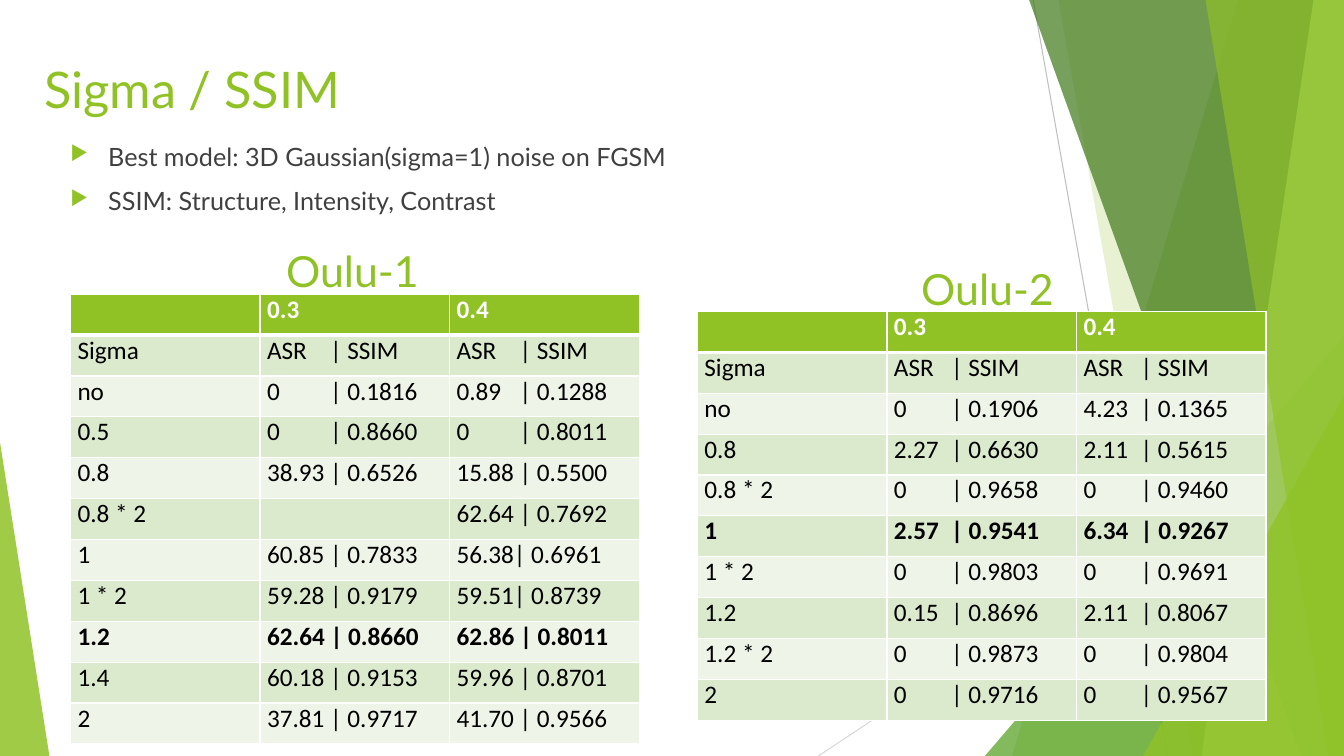
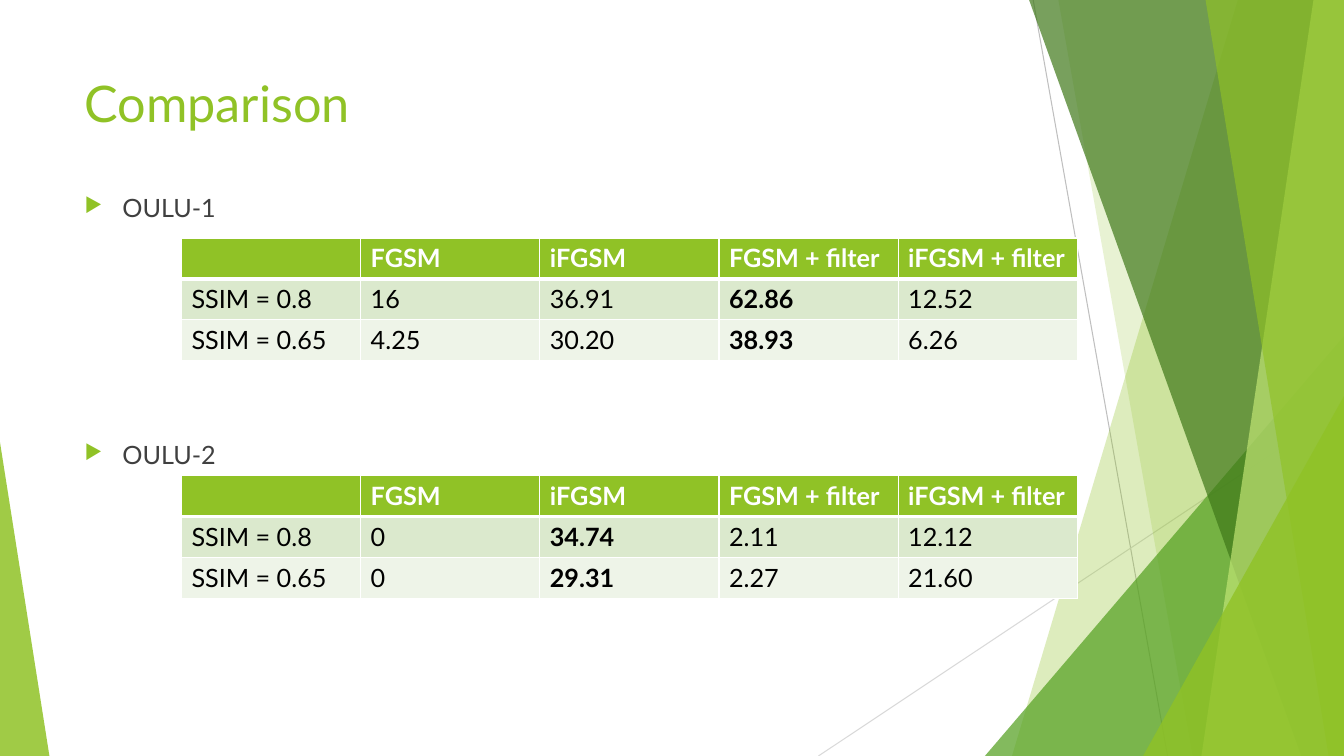
"""Build two slides on noise strength, similarity and attack success."""
from dataclasses import dataclass

from pptx import Presentation
from pptx.dml.color import RGBColor
from pptx.enum.shapes import MSO_CONNECTOR, MSO_SHAPE
from pptx.enum.text import MSO_ANCHOR
from pptx.oxml.ns import qn
from pptx.oxml.xmlchemy import OxmlElement
from pptx.util import Pt

TRIANGLE = MSO_SHAPE.ISOSCELES_TRIANGLE
STRAIGHT = MSO_CONNECTOR.STRAIGHT
TOP = MSO_ANCHOR.TOP

WIDTH, HEIGHT = 960, 540
GREEN, WHITE, BLACK, GREY = "90C226", "FFFFFF", "000000", "404040"
BAND_FILLS = ("EEF4E8", "DBE9CD")
HEADING_FONT, TABLE_FONT = "Lato", "Calibri"
BODY_SIZE, TITLE_SIZE, CAPTION_SIZE = 18, 36, 30.6
ROW_HEIGHT = 29.2
BULLET_INDENT = 27


@dataclass(frozen=True)
class Ray:
    """A thin background line."""
    start: tuple[float, float]
    end: tuple[float, float]
    color: str


@dataclass(frozen=True)
class Band:
    """A full-height facet that reaches the right edge."""
    top_left: float
    bottom_left: float
    color: str
    opacity: int


@dataclass(frozen=True)
class Wedge:
    """A right triangle standing on the bottom edge."""
    left: float
    top: float
    width: float
    apex: float
    color: str
    opacity: int


@dataclass(frozen=True)
class Grid:
    """A banded table with its place, style and bold cells."""
    left: float
    top: float
    column_width: float
    rows: tuple[tuple[str, ...], ...]
    bold: frozenset[tuple[int, int]]
    font: str = TABLE_FONT
    margins: tuple[float, float] = (5, 0)
    tab: float = 0


@dataclass(frozen=True)
class Label:
    """A text box, bulleted or plain."""
    left: float
    top: float
    width: float
    height: float
    lines: tuple[str, ...]
    size: float = BODY_SIZE
    color: str = GREEN
    bulleted: bool = False


RAYS = (
    Ray((738, 0), (834, HEIGHT), "BFBFBF"),
    Ray((WIDTH, 290), (584.6, HEIGHT), "D9D9D9"),
)
FACETS = (
    Band(884.2, 722.9, GREEN, 30),
    Band(756, 851.8, GREEN, 20),
    Wedge(703.5, 240, 256.5, 1, "54A021", 72),
    Band(735.1, 929.5, "3F7819", 70),
    Band(938.2, 858.2, "C0E474", 70),
    Band(861.1, 949, GREEN, 65),
    Wedge(816.5, 283, 143.5, 1, GREEN, 80),
    Wedge(0, 316, 35.3, 0, GREEN, 85),
)

OULU_ONE = (
    ("", "0.3", "0.4"),
    ("Sigma", "ASR\t| SSIM", "ASR\t| SSIM"),
    ("no", "0\t| 0.1816", "0.89\t| 0.1288"),
    ("0.5", "0\t| 0.8660", "0\t| 0.8011"),
    ("0.8", "38.93 | 0.6526", "15.88 | 0.5500"),
    ("0.8 * 2", "", "62.64 | 0.7692"),
    ("1", "60.85 | 0.7833", "56.38| 0.6961"),
    ("1 * 2", "59.28 | 0.9179", "59.51| 0.8739"),
    ("1.2", "62.64 | 0.8660", "62.86 | 0.8011"),
    ("1.4", "60.18 | 0.9153", "59.96 | 0.8701"),
    ("2", "37.81 | 0.9717", "41.70 | 0.9566"),
)
OULU_TWO = (
    ("", "0.3", "0.4"),
    ("Sigma", "ASR\t| SSIM", "ASR\t| SSIM"),
    ("no", "0\t| 0.1906", "4.23\t| 0.1365"),
    ("0.8", "2.27\t| 0.6630", "2.11\t| 0.5615"),
    ("0.8 * 2", "0\t| 0.9658", "0\t| 0.9460"),
    ("1", "2.57\t| 0.9541", "6.34\t| 0.9267"),
    ("1 * 2", "0\t| 0.9803", "0\t| 0.9691"),
    ("1.2", "0.15\t| 0.8696", "2.11\t| 0.8067"),
    ("1.2 * 2", "0\t| 0.9873", "0\t| 0.9804"),
    ("2", "0\t| 0.9716", "0\t| 0.9567"),
)
METHODS = ("", "FGSM", "iFGSM", "FGSM + filter", "iFGSM + filter")
COMPARISON_ONE = (
    METHODS,
    ("SSIM = 0.8", "16", "36.91", "62.86", "12.52"),
    ("SSIM = 0.65", "4.25", "30.20", "38.93", "6.26"),
)
COMPARISON_TWO = (
    METHODS,
    ("SSIM = 0.8", "0", "34.74", "2.11", "12.12"),
    ("SSIM = 0.65", "0", "29.31", "2.27", "21.60"),
)


def rgb(color: str) -> RGBColor:
    """Turn a hex string into a colour."""
    return RGBColor.from_string(color)


def add_element(parent, tag: str, **attributes):
    """Append an XML element with its attributes and return it."""
    element = OxmlElement(tag)
    for name, value in attributes.items():
        element.set(name, str(value))
    parent.append(element)
    return element


def style_paragraph(paragraph, size: float, font: str, color: str, bold: bool = False) -> None:
    """Format every run of a paragraph."""
    for run in paragraph.runs:
        run.font.size = Pt(size)
        run.font.name = font
        run.font.bold = bold
        run.font.color.rgb = rgb(color)


def add_bullet(paragraph) -> None:
    """Give a paragraph the green arrow bullet and a hanging indent."""
    paragraph.space_before = Pt(10)
    properties = paragraph._p.get_or_add_pPr()
    properties.set("marL", str(Pt(BULLET_INDENT)))
    properties.set("indent", str(-Pt(BULLET_INDENT)))
    add_element(add_element(properties, "a:buClr"), "a:srgbClr", val=GREEN)
    add_element(properties, "a:buSzPct", val=80000)
    add_element(properties, "a:buChar", char="▶")


def draw_ray(slide, ray: Ray) -> None:
    """Draw one background line."""
    points = [Pt(value) for value in (*ray.start, *ray.end)]
    connector = slide.shapes.add_connector(STRAIGHT, *points)
    connector.line.color.rgb = rgb(ray.color)
    connector.line.width = Pt(0.75)
    add_element(connector._element.spPr, "a:effectLst")


def draw_facet(slide, facet: Band | Wedge) -> None:
    """Draw one translucent background facet."""
    if isinstance(facet, Band):
        builder = slide.shapes.build_freeform(Pt(facet.top_left), 0)
        corners = ((WIDTH, 0), (WIDTH, HEIGHT), (facet.bottom_left, HEIGHT))
        builder.add_line_segments([(Pt(x), Pt(y)) for x, y in corners], close=True)
        shape = builder.convert_to_shape()
    else:
        shape = slide.shapes.add_shape(
            TRIANGLE, Pt(facet.left), Pt(facet.top), Pt(facet.width), Pt(HEIGHT - facet.top))
        shape.adjustments[0] = facet.apex
    shape.shadow.inherit = False
    shape.line.fill.background()
    shape.fill.solid()
    shape.fill.fore_color.rgb = rgb(facet.color)
    fill_color = shape._element.spPr.find(qn("a:solidFill")).find(qn("a:srgbClr"))
    add_element(fill_color, "a:alpha", val=facet.opacity * 1000)


def draw_label(slide, label: Label) -> None:
    """Draw a text box with one paragraph for each line."""
    box = slide.shapes.add_textbox(
        Pt(label.left), Pt(label.top), Pt(label.width), Pt(label.height))
    frame = box.text_frame
    frame.word_wrap = True
    frame.vertical_anchor = TOP
    frame.text = "\n".join(label.lines)
    for paragraph in frame.paragraphs:
        style_paragraph(paragraph, label.size, HEADING_FONT, label.color)
        if label.bulleted:
            add_bullet(paragraph)


def set_borders(cell, bottom_width: float) -> None:
    """Put white borders round a cell."""
    properties = cell._tc.get_or_add_tcPr()
    widths = {"a:lnL": 1, "a:lnR": 1, "a:lnT": 1, "a:lnB": bottom_width}
    for position, (tag, width) in enumerate(widths.items()):
        border = OxmlElement(tag)
        border.set("w", str(Pt(width)))
        add_element(add_element(border, "a:solidFill"), "a:srgbClr", val=WHITE)
        properties.insert(position, border)


def draw_cell(cell, text: str, row: int, bold: bool, grid: Grid) -> None:
    """Fill, border and write one table cell."""
    header = row == 0
    cell.fill.solid()
    cell.fill.fore_color.rgb = rgb(GREEN if header else BAND_FILLS[row % 2])
    set_borders(cell, 3 if header or row == 1 and False else 1)
    horizontal, vertical = grid.margins
    cell.margin_left = cell.margin_right = Pt(horizontal)
    cell.margin_top = cell.margin_bottom = Pt(vertical)
    cell.vertical_anchor = TOP
    paragraph = cell.text_frame.paragraphs[0]
    paragraph.text = text
    style_paragraph(paragraph, BODY_SIZE, grid.font, WHITE if header else BLACK, header or bold)
    if "\t" in text:
        tabs = add_element(paragraph._p.get_or_add_pPr(), "a:tabLst")
        add_element(tabs, "a:tab", pos=Pt(grid.tab), algn="l")


def draw_grid(slide, grid: Grid) -> None:
    """Draw a table."""
    row_count, column_count = len(grid.rows), len(grid.rows[0])
    table = slide.shapes.add_table(
        row_count, column_count, Pt(grid.left), Pt(grid.top),
        Pt(grid.column_width * column_count), Pt(ROW_HEIGHT * row_count)).table
    for column in table.columns:
        column.width = Pt(grid.column_width)
    for row, texts in enumerate(grid.rows):
        table.rows[row].height = Pt(ROW_HEIGHT)
        for column, text in enumerate(texts):
            draw_cell(table.cell(row, column), text, row, (row, column) in grid.bold, grid)


def add_slide(presentation, grids: tuple[Grid, ...], labels: tuple[Label, ...]) -> None:
    """Add a slide with the shared background, its tables and its texts."""
    slide = presentation.slides.add_slide(presentation.slide_layouts[6])
    for ray in RAYS:
        draw_ray(slide, ray)
    for facet in FACETS:
        draw_facet(slide, facet)
    for grid in grids:
        draw_grid(slide, grid)
    for label in labels:
        draw_label(slide, label)


def main() -> None:
    """Build and save the presentation."""
    presentation = Presentation()
    presentation.slide_width, presentation.slide_height = Pt(WIDTH), Pt(HEIGHT)
    add_slide(presentation, (
        Grid(50.4, 210.2, 135.4, OULU_ONE, frozenset((8, c) for c in range(3)), tab=45),
        Grid(498.2, 222.5, 135.4, OULU_TWO, frozenset((5, c) for c in range(3)), tab=40.8),
    ), (
        Label(43.2, 97.2, 445.7, 60.5, (
            "Best model: 3D Gaussian(sigma=1) noise on FGSM",
            "SSIM: Structure, Intensity, Contrast"), color=GREY, bulleted=True),
        Label(197.3, 171.4, 120, 51.8, ("Oulu-1",), CAPTION_SIZE),
        Label(650.9, 184.3, 120, 51.8, ("Oulu-2",), CAPTION_SIZE),
        Label(24.5, 38.2, 676.8, 51.8, ("Sigma / SSIM",), TITLE_SIZE),
    ))
    add_slide(presentation, tuple(
        Grid(129.6, top, 128, rows, frozenset((r, column) for r in (1, 2)),
             HEADING_FONT, (7.2, 3.6))
        for top, rows, column in ((170, COMPARISON_ONE, 3), (339.8, COMPARISON_TWO, 2))
    ), (
        Label(53.3, 48.2, 676.8, 103.7, ("Comparison",), TITLE_SIZE),
        *(Label(53.3, top, 111.6, 27.4, (name,), color=GREY, bulleted=True)
          for top, name in ((133.9, "OULU-1"), (310.3, "OULU-2"))),
    ))
    presentation.save("out.pptx")


if __name__ == "__main__":
    main()
